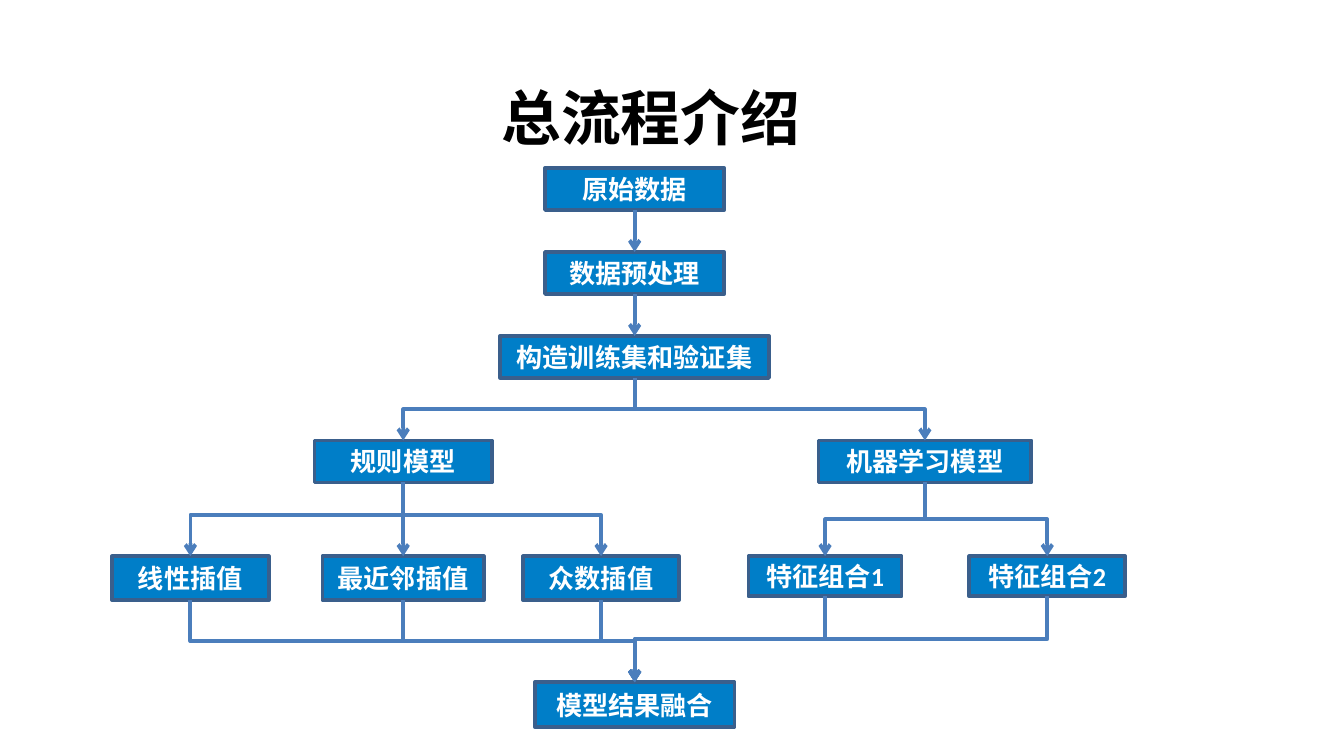
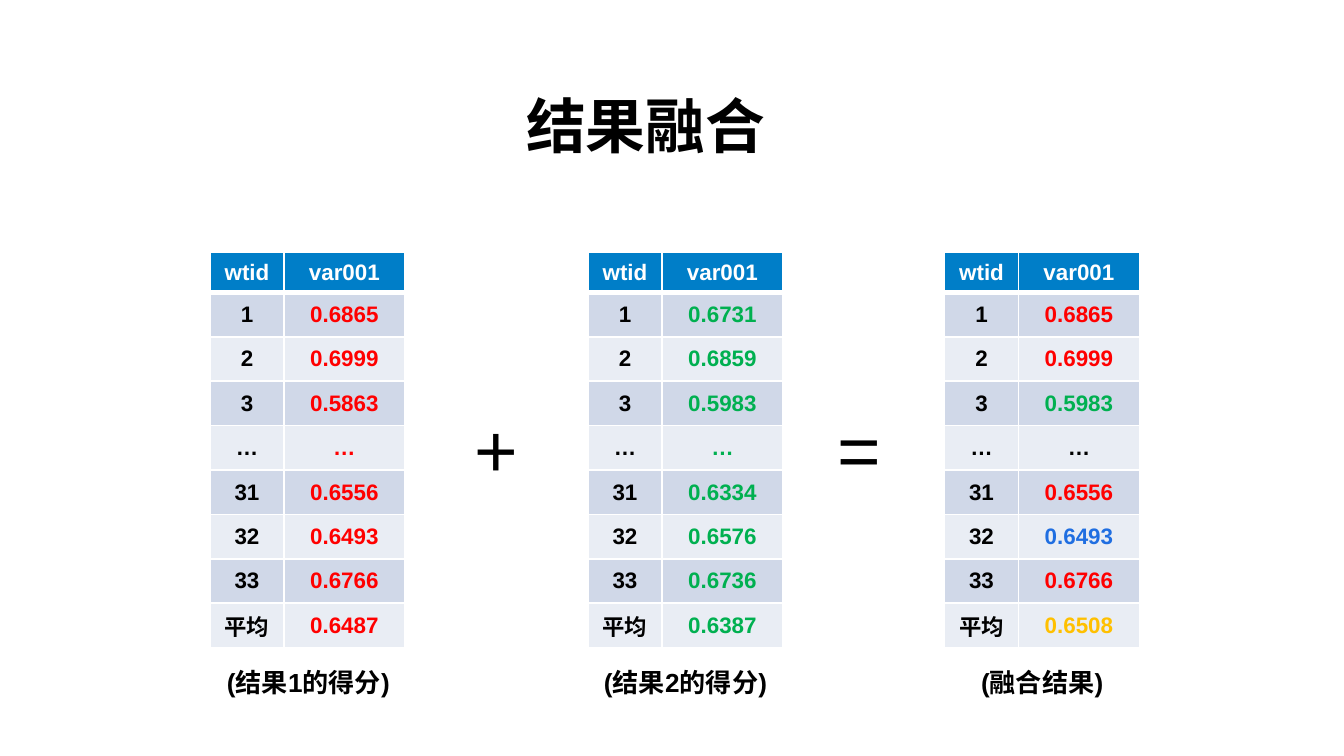
"""Build two slides: a model flow chart and the merging of result tables."""
from dataclasses import dataclass

from lxml.etree import SubElement
from pptx import Presentation
from pptx.dml.color import RGBColor
from pptx.enum.shapes import MSO_CONNECTOR, MSO_SHAPE
from pptx.enum.text import MSO_ANCHOR, MSO_AUTO_SIZE, PP_ALIGN
from pptx.oxml.ns import qn
from pptx.util import Pt


@dataclass(frozen=True)
class Theme:
    blue: str = "007EC8"
    edge: str = "3A5F8C"
    wire: str = "4B7EBC"
    white: str = "FFFFFF"
    black: str = "000000"
    red: str = "FF0000"
    green: str = "00B050"
    azure: str = "1F6EE1"
    gold: str = "FFC000"
    bands: tuple = ("E9EDF4", "D0D8E8")
    sans: str = "Arial"
    body: str = "Calibri"
    head: int = 32
    sign: int = 40
    label: int = 14
    cell: int = 12
    stroke: int = 2


theme = Theme()


def style(frame, size, color=theme.black, font=theme.sans, bold=True, align=PP_ALIGN.CENTER):
    """Format every run of a text frame."""
    for para in frame.paragraphs:
        para.alignment = align
        for run in para.runs:
            run.font.name = font
            run.font.size = Pt(size)
            run.font.bold = bold
            run.font.color.rgb = RGBColor.from_string(color)


def link(slide, start, end, bend=0.5):
    """Join the bottom of one box to the top of another with an arrow."""
    x1, y1 = start.left + start.width // 2, start.top + start.height
    x2, y2 = end.left + end.width // 2, end.top
    wide, high = abs(x2 - x1), y2 - y1
    kind = MSO_CONNECTOR.ELBOW if wide else MSO_CONNECTOR.STRAIGHT
    wire = slide.shapes.add_connector(kind, x1, y1, x2, y2)
    wire.begin_connect(start, 2)
    wire.end_connect(end, 0)
    wire.line.color.rgb = RGBColor.from_string(theme.wire)
    wire.line.width = Pt(theme.stroke)
    props = wire._element.spPr
    SubElement(props.find(qn("a:ln")), qn("a:tailEnd"), type="arrow")
    SubElement(props, qn("a:effectLst"))
    if wide:
        wire.left, wire.top = (x1 + x2 - high) // 2, (y1 + y2 - wide) // 2
        wire.width, wire.height = high, wide
        frame = props.find(qn("a:xfrm"))
        for name in ("flipH", "flipV"):
            frame.attrib.pop(name, None)
        frame.set("rot", "5400000" if x2 < x1 else "16200000")
        if x2 > x1:
            frame.set("flipH", "1")
        geom = props.find(qn("a:prstGeom"))
        guides = geom.find(qn("a:avLst"))
        if guides is None:
            guides = SubElement(geom, qn("a:avLst"))
        SubElement(guides, qn("a:gd"), name="adj1", fmla=f"val {round(bend * 100000)}")


deck = Presentation()
deck.slide_width, deck.slide_height = Pt(720), Pt(405)

slides = []
for text, left, top in (("总流程介绍", 28, 39.6), ("结果融合", 25.2, 44)):
    slide = deck.slides.add_slide(deck.slide_layouts[5])
    title = slide.shapes.title
    title.left, title.top, title.width, title.height = Pt(left), Pt(top), Pt(641.5), Pt(46)
    title.text_frame.text = text
    title.text_frame.vertical_anchor = MSO_ANCHOR.TOP
    title.text_frame.auto_size = MSO_AUTO_SIZE.SHAPE_TO_FIT_TEXT
    style(title.text_frame, theme.head)
    slides.append(slide)
flow, merge = slides

nodes = {
    "原始数据": (340, 90, 96, 22.5),
    "数据预处理": (340, 135, 96, 22.5),
    "构造训练集和验证集": (340, 180, 144, 22.5),
    "规则模型": (216, 236, 95, 22.5),
    "机器学习模型": (495.5, 236, 114, 22.5),
    "线性插值": (102, 298, 84, 23.5),
    "最近邻插值": (216, 298, 86.5, 23.5),
    "众数插值": (322, 298, 83.5, 23.5),
    "特征组合1": (442, 298, 82, 21.5),
    "特征组合2": (561, 298, 83.5, 21.5),
    "模型结果融合": (340, 365.5, 107, 24),
}
boxes = []
for text, (mid, top, wide, high) in nodes.items():
    box = flow.shapes.add_shape(
        MSO_SHAPE.RECTANGLE, Pt(mid - wide / 2), Pt(top), Pt(wide), Pt(high))
    box.shadow.inherit = False
    box.fill.solid()
    box.fill.fore_color.rgb = RGBColor.from_string(theme.blue)
    box.line.color.rgb = RGBColor.from_string(theme.edge)
    box.line.width = Pt(theme.stroke)
    box.text_frame.text = text
    box.text_frame.vertical_anchor = MSO_ANCHOR.MIDDLE
    style(box.text_frame, theme.label, theme.white, theme.body)
    boxes.append(box)

raw, prep, split, rule, learn, *leaves, final = boxes
for start, end in ((raw, prep), (prep, split), (split, rule), (split, learn)):
    link(flow, start, end)
for leaf in leaves[:3]:
    link(flow, rule, leaf, 0.44)
for leaf in leaves[3:]:
    link(flow, learn, leaf)
for leaf in leaves:
    link(flow, leaf, final)

keys = ("1", "2", "3", "…", "31", "32", "33", "平均")
first = ("0.6865", "0.6999", "0.5863", "…", "0.6556", "0.6493", "0.6766", "0.6487")
second = ("0.6731", "0.6859", "0.5983", "…", "0.6334", "0.6576", "0.6736", "0.6387")
blend = ("0.6865", "0.6999", "0.5983", "…", "0.6556", "0.6493", "0.6766", "0.6508")
mixed = (theme.red, theme.red, theme.green, theme.black,
         theme.red, theme.azure, theme.red, theme.gold)
tables = (
    (112.5, first, [theme.red] * 8),
    (315, second, [theme.green] * 8),
    (506, blend, mixed),
)
for left, scores, inks in tables:
    grid = merge.shapes.add_table(9, 2, Pt(left), Pt(135), Pt(104.4), Pt(212)).table
    for col, wide in zip(grid.columns, (39.6, 64.8)):
        col.width = Pt(wide)
    rows = [("wtid", "var001"), *zip(keys, scores)]
    paints = [(theme.white, theme.white), *((theme.black, ink) for ink in inks)]
    for i, (row, paint) in enumerate(zip(rows, paints)):
        grid.rows[i].height = Pt(23.8 if i else 21.6)
        for j, (text, ink) in enumerate(zip(row, paint)):
            cell = grid.cell(i, j)
            cell.text_frame.text = text
            cell.vertical_anchor = MSO_ANCHOR.MIDDLE
            style(cell.text_frame, theme.cell, ink)
            props = cell._tc.get_or_add_tcPr()
            for side in "LRTB":
                thick = (i, side) in ((0, "B"), (1, "T"))
                line = SubElement(props, qn(f"a:ln{side}"), w=str(Pt(3 if thick else 1)))
                fill = SubElement(line, qn("a:solidFill"))
                SubElement(fill, qn("a:srgbClr"), val=theme.white)
            cell.fill.solid()
            shade = theme.bands[i % 2] if i else theme.blue
            cell.fill.fore_color.rgb = RGBColor.from_string(shade)

notes = (
    ("(结果1的得分)", 114.5, 353.5, 114, 24, theme.label, True),
    ("(结果2的得分)", 316.5, 353.5, 114, 24, theme.label, True),
    ("(融合结果)", 518.5, 353.5, 114, 24, theme.label, True),
    ("+", 247, 212.5, 44.6, 55.5, theme.sign, False),
    ("=", 441.5, 212.5, 44.6, 55.5, theme.sign, False),
)
for text, left, top, wide, high, size, bold in notes:
    frame = merge.shapes.add_textbox(Pt(left), Pt(top), Pt(wide), Pt(high)).text_frame
    frame.word_wrap = True
    frame.auto_size = MSO_AUTO_SIZE.SHAPE_TO_FIT_TEXT
    frame.text = text
    style(frame, size, bold=bold, align=PP_ALIGN.LEFT)

deck.save("out.pptx")
